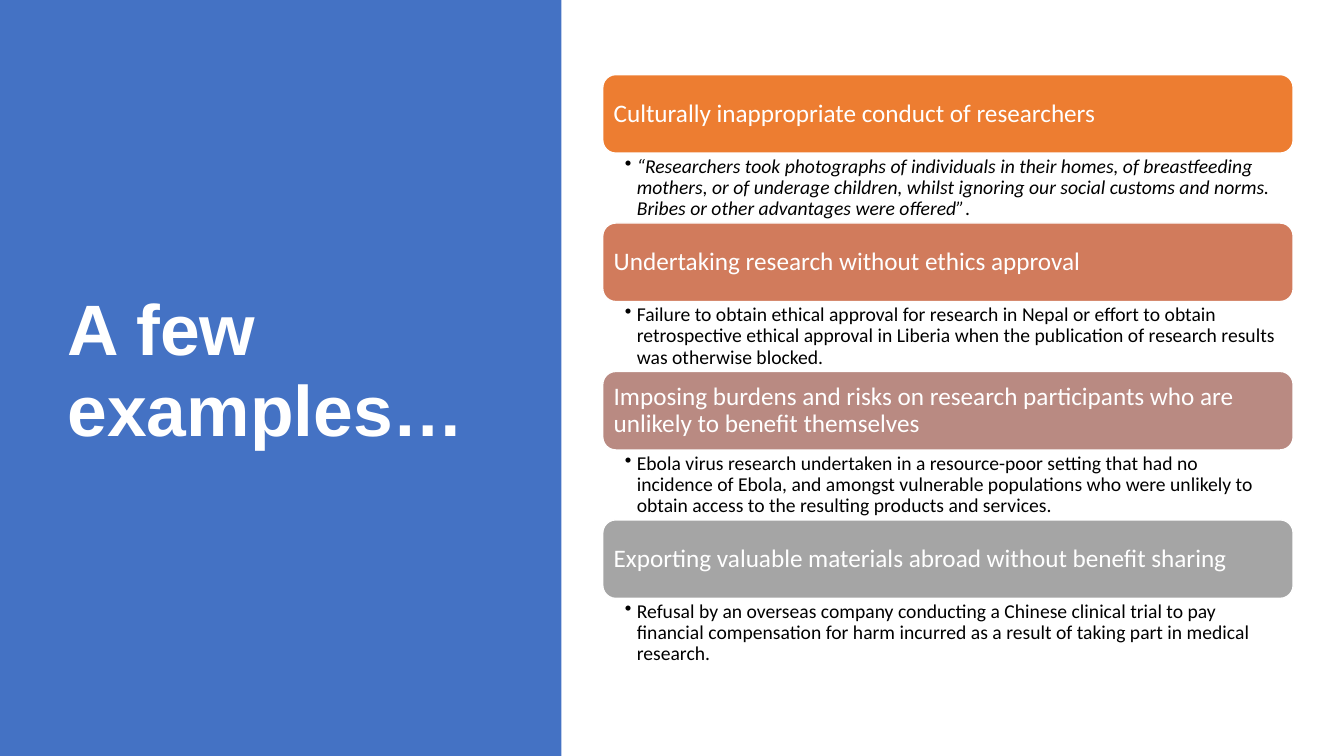
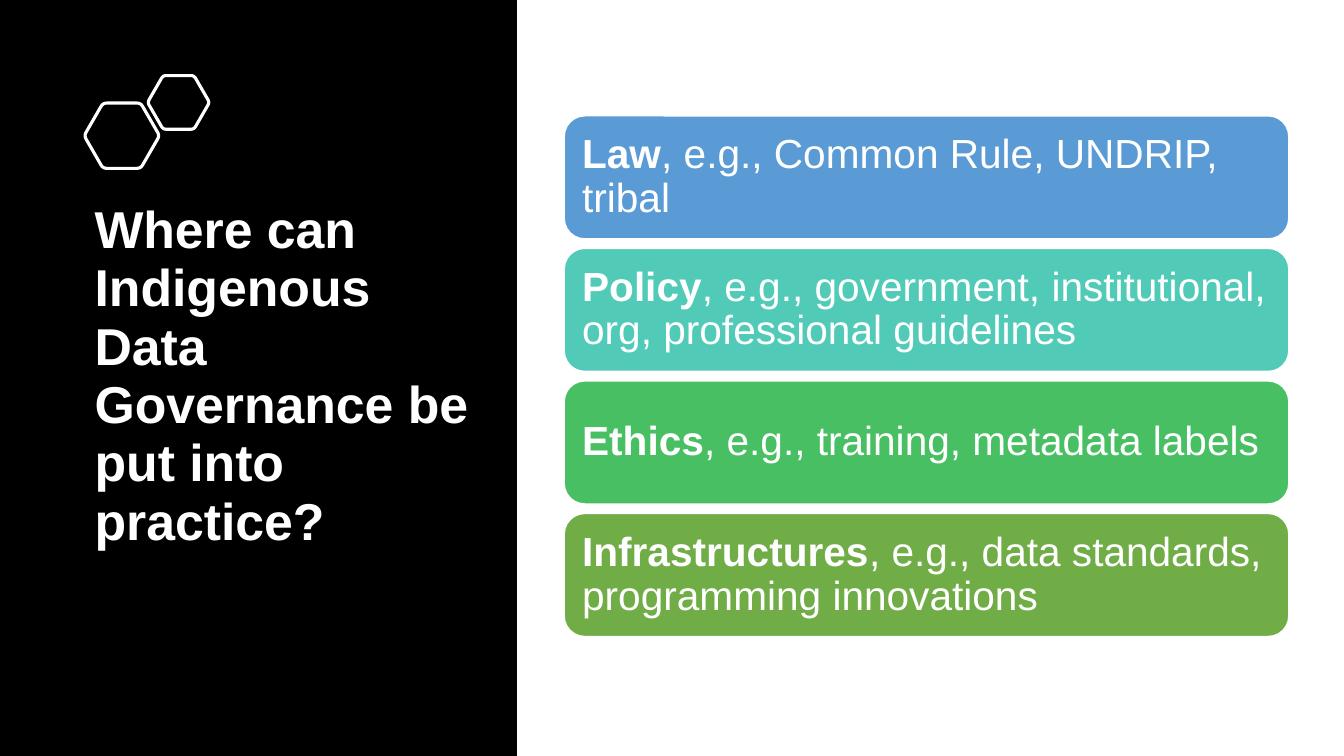
from math import cos, radians, sin

from lxml.etree import SubElement
from pptx import Presentation
from pptx.dml.color import RGBColor
from pptx.enum.shapes import MSO_SHAPE
from pptx.enum.text import MSO_ANCHOR, MSO_AUTO_SIZE, PP_ALIGN
from pptx.oxml.ns import qn
from pptx.util import Cm, Pt

WHITE = RGBColor(0xFF, 0xFF, 0xFF)
BLACK = RGBColor(0x00, 0x00, 0x00)
BLUE = RGBColor(0x44, 0x72, 0xC4)
ORANGE = RGBColor(0xED, 0x7D, 0x31)
TERRACOTTA = RGBColor(0xD1, 0x7B, 0x5C)
DUSTY_ROSE = RGBColor(0xB9, 0x8A, 0x82)
GRAY = RGBColor(0xA5, 0xA5, 0xA5)
SKY = RGBColor(0x5B, 0x9B, 0xD5)
TURQUOISE = RGBColor(0x52, 0xCA, 0xB8)
EMERALD = RGBColor(0x49, 0xBF, 0x64)
GREEN = RGBColor(0x70, 0xAD, 0x47)

deck = Presentation()
deck.slide_width = Cm(33.87)
deck.slide_height = Cm(19.05)


def add_page(title_text, size, anchor, place, panel_width, panel_color):
    page = deck.slides.add_slide(deck.slide_layouts[5])
    title = page.shapes.title
    title.left, title.top, title.width, title.height = [Cm(value) for value in place]
    frame = title.text_frame
    frame.text = title_text
    frame.word_wrap = True
    frame.auto_size = MSO_AUTO_SIZE.NONE
    frame.vertical_anchor = anchor
    para = frame.paragraphs[0]
    para.alignment = PP_ALIGN.LEFT
    para.line_spacing = 0.94
    font = para.runs[0].font
    font.name, font.size, font.bold = "Arial", Pt(size), True
    font.color.rgb = WHITE

    panel = page.shapes.add_shape(
        MSO_SHAPE.RECTANGLE, 0, 0, Cm(panel_width), deck.slide_height
    )
    panel.shadow.inherit = False
    panel.fill.solid()
    panel.fill.fore_color.rgb = panel_color
    panel.line.fill.background()
    title.element.addprevious(panel.element)
    return page


def add_card(page, place, color, margin, spans, font_name, size):
    card = page.shapes.add_shape(
        MSO_SHAPE.ROUNDED_RECTANGLE, *[Cm(value) for value in place]
    )
    card.shadow.inherit = False
    card.fill.solid()
    card.fill.fore_color.rgb = color
    card.line.color.rgb = WHITE
    card.line.width = Pt(1)
    frame = card.text_frame
    frame.word_wrap = True
    frame.vertical_anchor = MSO_ANCHOR.MIDDLE
    frame.margin_left = frame.margin_right = Cm(margin)
    frame.margin_top = frame.margin_bottom = Cm(margin)
    para = frame.paragraphs[0]
    para.alignment = PP_ALIGN.LEFT
    para.line_spacing = 0.9
    for text, bold in spans:
        span = para.add_run()
        span.text = text
        span.font.name, span.font.size, span.font.bold = font_name, Pt(size), bold
        span.font.color.rgb = WHITE


examples = [
    (
        "Culturally inappropriate conduct of researchers",
        "“Researchers took photographs of individuals in their homes, of breastfeeding "
        "mothers, or of underage children, whilst ignoring our social customs and norms. "
        "Bribes or other advantages were offered”",
        ".",
        ORANGE,
    ),
    (
        "Undertaking research without ethics approval",
        "",
        "Failure to obtain ethical approval for research in Nepal or effort to obtain "
        "retrospective ethical approval in Liberia when the publication of research "
        "results was otherwise blocked.",
        TERRACOTTA,
    ),
    (
        "Imposing burdens and risks on research participants who are unlikely to "
        "benefit themselves",
        "",
        "Ebola virus research undertaken in a resource-poor setting that had no "
        "incidence of Ebola, and amongst vulnerable populations who were unlikely to "
        "obtain access to the resulting products and services.",
        DUSTY_ROSE,
    ),
    (
        "Exporting valuable materials abroad without benefit sharing",
        "",
        "Refusal by an overseas company conducting a Chinese clinical trial to "
        "pay financial compensation for harm incurred as a result of taking part in "
        "medical research.",
        GRAY,
    ),
]
example_left, example_top, example_width = 15.19, 1.88, 17.4
heading_height, detail_height = 1.98, 1.76

page = add_page(
    "A few examples…", 51, MSO_ANCHOR.MIDDLE, (1.45, 1.73, 10.57, 15.29), 14.15, BLUE
)
for index, (heading, quote, detail, color) in enumerate(examples):
    top = example_top + index * (heading_height + detail_height)
    add_card(
        page,
        (example_left, top, example_width, heading_height),
        color,
        0.18,
        [(heading, False)],
        "Calibri",
        18,
    )
    box = page.shapes.add_textbox(
        Cm(example_left), Cm(top + heading_height), Cm(example_width), Cm(detail_height)
    )
    frame = box.text_frame
    frame.word_wrap = True
    frame.margin_left, frame.margin_right = Cm(0.56), Cm(0.36)
    frame.margin_top = frame.margin_bottom = Cm(0.08)
    para = frame.paragraphs[0]
    para.line_spacing = 0.9
    properties = para._p.get_or_add_pPr()
    properties.set("marL", str(Cm(0.3)))
    properties.set("indent", str(-Cm(0.3)))
    SubElement(properties, qn("a:buChar")).set("char", "•")
    for text, italic in ((quote, True), (detail, False)):
        if text:
            span = para.add_run()
            span.text = text
            span.font.name, span.font.size, span.font.italic = "Calibri", Pt(14), italic
            span.font.color.rgb = BLACK

page = add_page(
    "Where can Indigenous Data Governance be put into practice?",
    37,
    MSO_ANCHOR.TOP,
    (2.13, 4.95, 9.96, 8.89),
    13.03,
    BLACK,
)

corner_cut = 0.1
for center_x, center_y, radius in ((3.07, 3.42, 0.95), (4.5, 2.58, 0.78)):
    corners = [
        (center_x + radius * cos(radians(angle)), center_y + radius * sin(radians(angle)))
        for angle in range(0, 360, 60)
    ]
    outline = []
    for index, corner in enumerate(corners):
        before, after = corners[index - 1], corners[(index + 1) % 6]
        for step in range(6):
            ratio = step / 5
            toward_before = corner_cut * (1 - ratio) ** 2
            toward_after = corner_cut * ratio**2
            outline.append(
                tuple(
                    Cm(c + toward_before * (b - c) + toward_after * (a - c))
                    for b, c, a in zip(before, corner, after)
                )
            )
    builder = page.shapes.build_freeform(*outline[0])
    builder.add_line_segments(outline[1:], close=True)
    hexagon = builder.convert_to_shape()
    hexagon.shadow.inherit = False
    hexagon.fill.background()
    hexagon.line.color.rgb = WHITE
    hexagon.line.width = Pt(2.25)

practices = [
    ("Law", ", e.g., Common Rule, UNDRIP, tribal", SKY),
    ("Policy", ", e.g., government, institutional, org, professional guidelines", TURQUOISE),
    ("Ethics", ", e.g., training, metadata labels", EMERALD),
    ("Infrastructures", ", e.g., data standards, programming innovations", GREEN),
]
for index, (name, instances, color) in enumerate(practices):
    add_card(
        page,
        (14.22, 2.92 + index * 3.34, 18.26, 3.1),
        color,
        0.3,
        [(name, True), (instances, False)],
        "Arial",
        29,
    )

deck.save("out.pptx")
